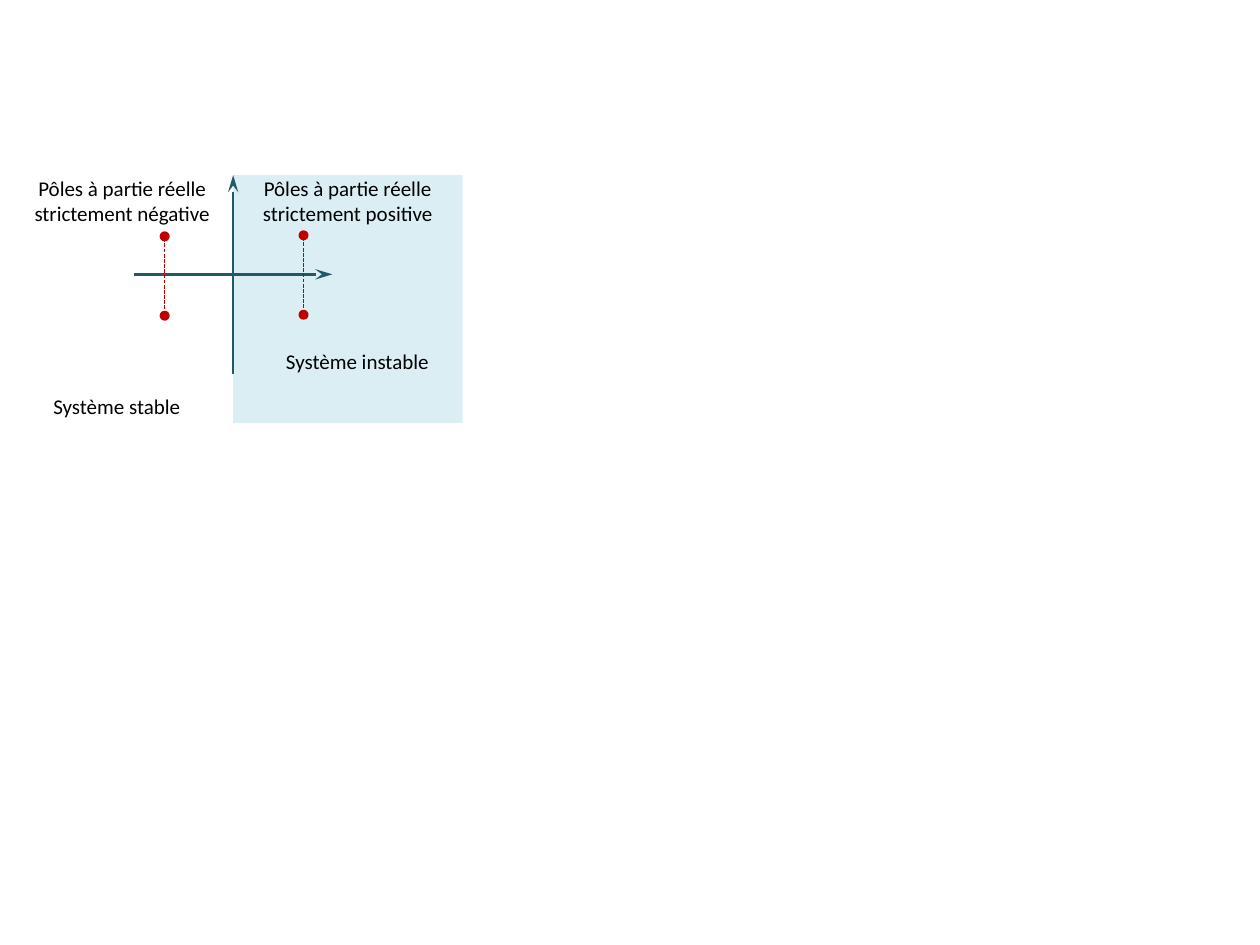
import pptx
import pptx.dml.color
import pptx.enum.dml
import pptx.enum.shapes
import pptx.enum.text
import pptx.oxml
import pptx.util
from pptx.util import Cm, Pt

RGBColor = pptx.dml.color.RGBColor
MSO_SHAPE = pptx.enum.shapes.MSO_SHAPE

PALE_BLUE = RGBColor(0xDB, 0xEE, 0xF4)
TEAL = RGBColor(0x21, 0x59, 0x68)
RED = RGBColor(0xC0, 0x00, 0x00)
BLACK = RGBColor(0x00, 0x00, 0x00)

ORIGIN_X, ORIGIN_Y = 4.7, 5.53
HALF_AXIS = 2
TOP = ORIGIN_Y - HALF_AXIS
DOT = 0.13
POLE_GAP = 1.6


def add_shape(shapes, kind, x, y, w, h, color):
    sp = shapes.add_shape(kind, Cm(x), Cm(y), Cm(w), Cm(h))
    sp.shadow.inherit = False
    sp.fill.solid()
    sp.fill.fore_color.rgb = color
    sp.line.fill.background()
    return sp


def add_line(shapes, x1, y1, x2, y2, color, width):
    line = shapes.add_connector(pptx.enum.shapes.MSO_CONNECTOR.STRAIGHT,
                                Cm(x1), Cm(y1), Cm(x2), Cm(y2))
    line.line.color.rgb = color
    line.line.width = Pt(width)
    pptx.oxml.ns  # namespace helpers used below
    line._element.spPr.append(pptx.oxml.xmlchemy.OxmlElement("a:effectLst"))
    return line


def add_axis(shapes, x1, y1, x2, y2):
    axis = add_line(shapes, x1, y1, x2, y2, TEAL, 1.5)
    head = pptx.oxml.xmlchemy.OxmlElement("a:tailEnd")
    for name, value in (("type", "stealth"), ("w", "med"), ("len", "lg")):
        head.set(name, value)
    axis.line._get_or_add_ln().append(head)


def add_dot(shapes, x, y):
    dot = add_shape(shapes, MSO_SHAPE.OVAL, x - DOT / 2, y, DOT, DOT, RED)
    dot.line.color.rgb = RED
    dot.line.width = Pt(2)


def add_pole_pair(shapes, x, y):
    """Two conjugate poles, the upper one starting at y, joined by dashes."""
    add_dot(shapes, x, y + POLE_GAP)
    link = add_line(shapes, x, y, x, y + POLE_GAP, RED, 0.75)
    link.line.dash_style = pptx.enum.dml.MSO_LINE.SQUARE_DOT
    add_dot(shapes, x, y)


def add_label(shapes, text, x, y, w, h):
    tb = shapes.add_textbox(Cm(x), Cm(y), Cm(w), Cm(h))
    tf = tb.text_frame
    tf.word_wrap = True
    tf.auto_size = pptx.enum.text.MSO_AUTO_SIZE.SHAPE_TO_FIT_TEXT
    tf.margin_left = tf.margin_right = tf.margin_top = tf.margin_bottom = 0
    p = tf.paragraphs[0]
    p.alignment = pptx.enum.text.PP_ALIGN.CENTER
    r = p.add_run()
    r.text = text
    r.font.name = "Calibri"
    r.font.size = Pt(12)
    r.font.color.rgb = BLACK


def main():
    prs = pptx.Presentation()
    prs.slide_width, prs.slide_height = Cm(25.4), Cm(19.05)
    slide = prs.slides.add_slide(prs.slide_layouts[6])
    shapes = slide.shapes.add_group_shape().shapes

    add_shape(shapes, MSO_SHAPE.RECTANGLE, ORIGIN_X, TOP, 4.63, 5, PALE_BLUE)
    add_axis(shapes, ORIGIN_X, ORIGIN_Y + HALF_AXIS, ORIGIN_X, TOP)
    add_axis(shapes, ORIGIN_X - HALF_AXIS, ORIGIN_Y,
             ORIGIN_X + HALF_AXIS, ORIGIN_Y)

    for text, x, y, w, h in (
        ("Pôles à partie réelle strictement positive", 5, TOP, 4.02, 1.02),
        ("Système instable", 5.08, 7.02, 4.25, 0.51),
        ("Système stable", 0.23, 7.93, 4.25, 0.51),
        ("Pôles à partie réelle strictement négative", 0.23, TOP, 4.47, 1.02),
    ):
        add_label(shapes, text, x, y, w, h)

    for x, y in ((3.32, 4.7), (6.12, 4.68)):
        add_pole_pair(shapes, x, y)

    prs.save("out.pptx")


if __name__ == "__main__":
    main()
